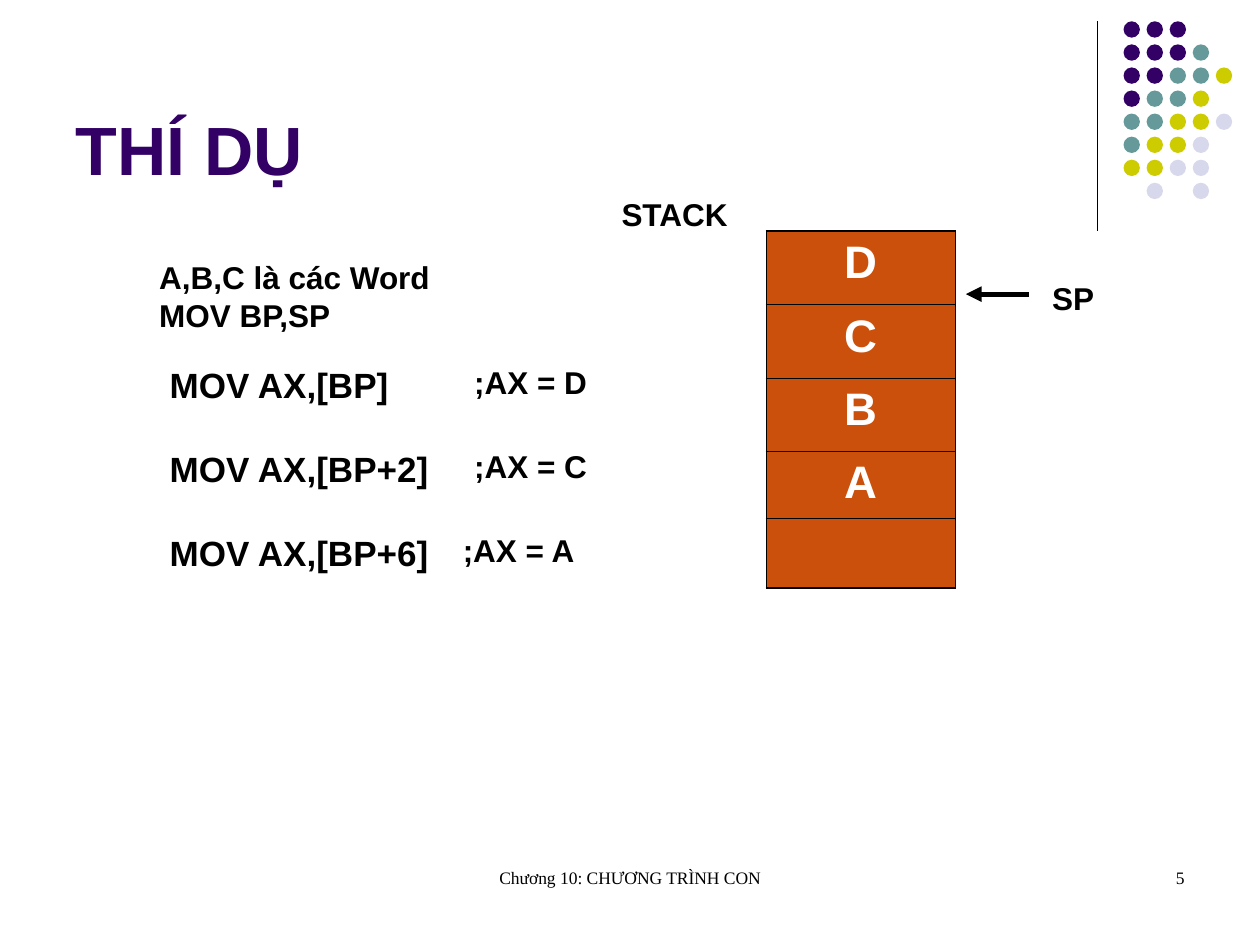
import pptx
import pptx.dml.color
import pptx.enum.dml
import pptx.enum.shapes
import pptx.enum.text
import pptx.oxml
import pptx.oxml.ns
import pptx.util

Cm = pptx.util.Cm
Pt = pptx.util.Pt
ALIGN = pptx.enum.text.PP_ALIGN
ANCHOR = pptx.enum.text.MSO_ANCHOR
NAMESPACE = pptx.oxml.ns.nsdecls("a")

BLACK, WHITE, PURPLE, ORANGE = "000000", "FFFFFF", "330066", "CB500B"
DOT_COLOURS = {"P": PURPLE, "T": "669999", "Y": "CCCC00", "L": "D8D8EC"}
DOT_ROWS = ["PPP", "PPPT", "PPTTY", "PTTY", "TTYYL", "TYYL", "YYLL", " L L"]


def colour(code):
    return pptx.dml.color.RGBColor.from_string(code)


def write(frame, text, size, code=BLACK, name="Arial", bold=True, align=ALIGN.LEFT):
    """Fill the first paragraph of a text frame and format its runs."""
    para = frame.paragraphs[0]
    para.text = text
    para.alignment = align
    for span in para.runs:
        span.font.size = Pt(size)
        span.font.name = name
        span.font.bold = bold
        span.font.color.rgb = colour(code)


def add_label(page, left, top, width, height, text, size=18, **style):
    box = page.shapes.add_textbox(Cm(left), Cm(top), Cm(width), Cm(height))
    box.text_frame.word_wrap = True
    write(box.text_frame, text, size, **style)


def add_line(page, x1, y1, x2, y2, weight, arrow=False):
    line = page.shapes.add_connector(
        pptx.enum.shapes.MSO_CONNECTOR.STRAIGHT, Cm(x1), Cm(y1), Cm(x2), Cm(y2))
    line.line.color.rgb = colour(BLACK)
    line.line.width = Pt(weight)
    if arrow:
        line.line._get_or_add_ln().append(
            pptx.oxml.parse_xml(f'<a:tailEnd {NAMESPACE} type="triangle"/>'))
    line._element.spPr.append(pptx.oxml.parse_xml(f"<a:effectLst {NAMESPACE}/>"))


def add_decoration(page, left, top, width, height):
    """Vertical rule with a grid of dots to its right."""
    add_line(page, left, top, left, top + height, 0.75)
    dot, grid_left, pitch = 0.33, left + 0.53, 0.465
    for row, codes in enumerate(DOT_ROWS):
        for column, code in enumerate(codes):
            if code == " ":
                continue
            circle = page.shapes.add_shape(
                pptx.enum.shapes.MSO_SHAPE.OVAL,
                Cm(grid_left + column * pitch), Cm(top + row * pitch), Cm(dot), Cm(dot))
            circle.shadow.inherit = False
            circle.fill.solid()
            circle.fill.fore_color.rgb = colour(DOT_COLOURS[code])
            circle.line.fill.background()


def add_title(page, left, top, width, height, text):
    title = page.shapes.title
    title.left, title.top = Cm(left), Cm(top)
    title.width, title.height = Cm(width), Cm(height)
    frame = title.text_frame
    frame.auto_size = pptx.enum.text.MSO_AUTO_SIZE.NONE
    frame.vertical_anchor = ANCHOR.BOTTOM
    write(frame, text, 39, PURPLE)


def add_border(cell, side, weight):
    cell._tc.get_or_add_tcPr().append(pptx.oxml.parse_xml(
        f'<a:ln{side} {NAMESPACE} w="{Pt(weight)}"><a:solidFill>'
        f'<a:srgbClr val="{BLACK}"/></a:solidFill></a:ln{side}>'))


def add_stack(page, left, top, width, height):
    """Stack table with its caption and the stack pointer."""
    items = ["D", "C", "B", "A", ""]
    heights = [1.48, 1.48, 1.48, 1.35, 1.4]
    table = page.shapes.add_table(
        len(items), 1, Cm(left), Cm(top), Cm(width), Cm(height)).table
    table.first_row = table.horz_banding = False
    last = len(items) - 1
    for index, item in enumerate(items):
        table.rows[index].height = Cm(heights[index])
        cell = table.cell(index, 0)
        # Outer edges are thicker than the lines between cells
        add_border(cell, "L", 1.08)
        add_border(cell, "R", 1.08)
        add_border(cell, "T", 1.08 if index == 0 else 0.45)
        add_border(cell, "B", 1.08 if index == last else 0.45)
        cell.fill.solid()
        cell.fill.fore_color.rgb = colour(ORANGE)
        if item:
            write(cell.text_frame, item, 26, WHITE, align=ALIGN.CENTER)

    right = left + width
    add_label(page, left - 3.17, top - 0.85, 3.6, 1.02, "STACK")
    add_line(page, right + 1.48, top + 1.27, right + 0.21, top + 1.27, 3, arrow=True)
    add_label(page, right + 1.7, top + 0.85, 1.48, 1.02, "SP")


def add_code(page, left, top):
    """Setup lines, then each instruction with its result."""
    add_label(page, left, top, 6.78, 1.78, "A,B,C là các Word\nMOV BP,SP")
    steps = [("MOV AX,[BP]", ";AX = D", 6.35),
             ("MOV AX,[BP+2]", ";AX = C", 6.35),
             ("MOV AX,[BP+6]", ";AX = A", 6.12)]
    for index, (instruction, result, offset) in enumerate(steps):
        y = top + 2.12 + index * 1.69
        add_label(page, left + 0.21, y, 6.35, 1.12, instruction, 20)
        add_label(page, left + offset, y, 3.39, 1.02, result)


def add_footer(page, left, top, width, height):
    style = {"size": 10, "name": "Times New Roman", "bold": False}
    add_label(page, left, top, 8.04, height, "Chương 10: CHƯƠNG TRÌNH CON",
              align=ALIGN.CENTER, **style)
    add_label(page, left + width - 5.92, top, 5.92, height, "5",
              align=ALIGN.RIGHT, **style)


def main():
    deck = pptx.Presentation()
    deck.slide_width, deck.slide_height = Cm(25.4), Cm(19.05)
    page = deck.slides.add_slide(deck.slide_layouts[5])
    page.background.fill.solid()
    page.background.fill.fore_color.rgb = colour(WHITE)

    add_decoration(page, 22.12, 0.43, 2.7, 4.22)
    add_title(page, 1.27, 0.33, 20.95, 3.61, "THÍ DỤ")
    add_stack(page, 15.45, 4.66, 3.81, 7.19)
    add_code(page, 2.96, 5.08)
    add_footer(page, 8.68, 17.36, 15.45, 1.27)
    deck.save("out.pptx")


if __name__ == "__main__":
    main()
